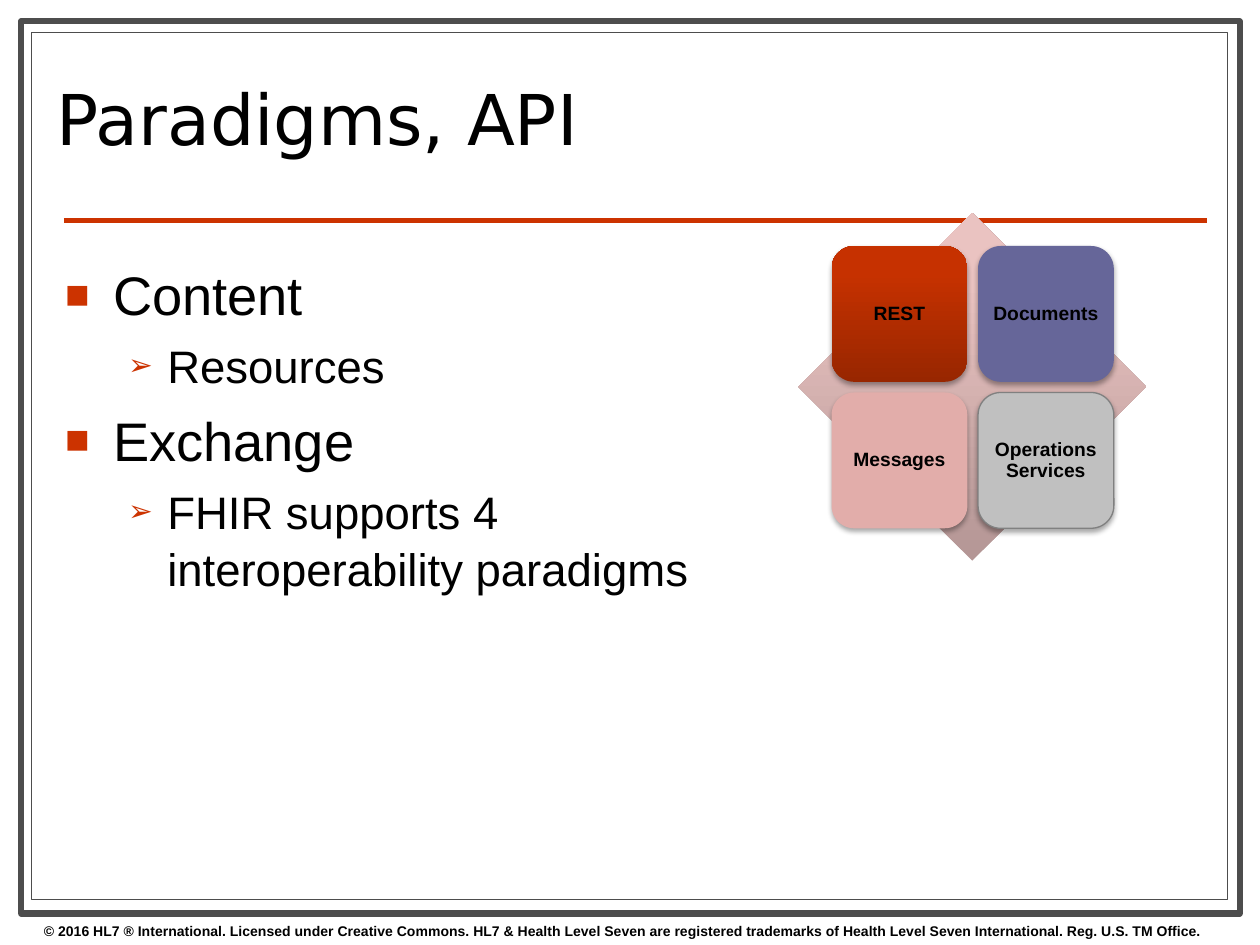
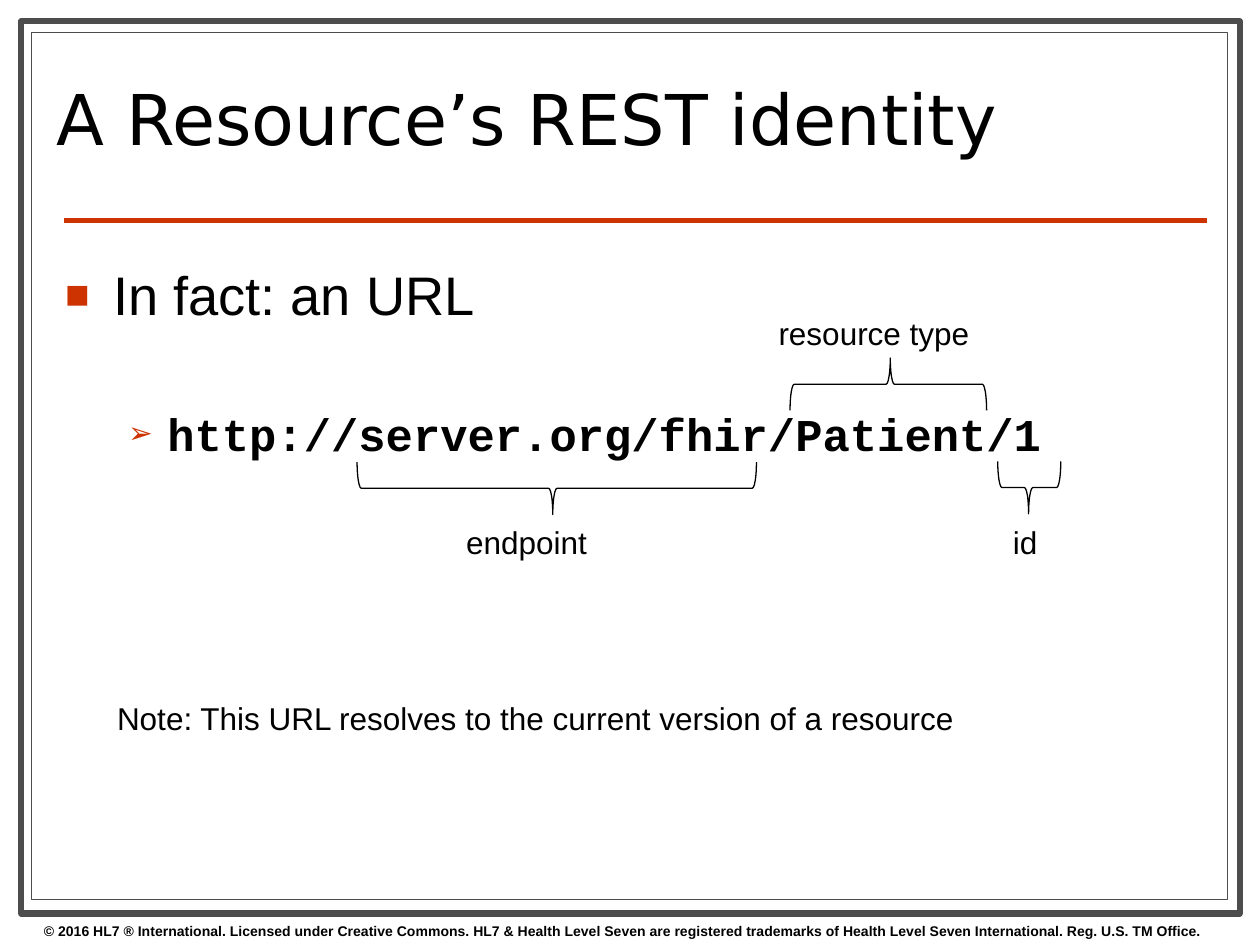
from lxml.etree import SubElement as Sub
from pptx import Presentation
from pptx.dml.color import RGBColor
from pptx.enum.shapes import MSO_CONNECTOR as Link, MSO_SHAPE as Kind
from pptx.enum.text import MSO_ANCHOR as Anchor, PP_ALIGN as Align
from pptx.oxml.ns import qn
from pptx.util import Pt

BLACK = RGBColor(0x00, 0x00, 0x00)
WHITE = RGBColor(0xFF, 0xFF, 0xFF)
GRAY = RGBColor(0x4D, 0x4D, 0x4D)
RED = RGBColor(0xCC, 0x33, 0x00)
BRICK = RGBColor(0x98, 0x26, 0x00)
RUST = RGBColor(0xC6, 0x31, 0x00)
MAUVE = RGBColor(0xB4, 0x96, 0x95)
BLUSH = RGBColor(0xEA, 0xC3, 0xC1)
VIOLET = RGBColor(0x66, 0x66, 0x99)
PINK = RGBColor(0xE2, 0xAD, 0xAA)
SILVER = RGBColor(0xC0, 0xC0, 0xC0)
EDGE = RGBColor(0x80, 0x80, 0x80)

SANS, HEAD, MONO = "Arial", "DejaVu Sans", "Courier New"
FOOTER = (
    "© 2016 HL7 ® International. Licensed under Creative Commons. "
    "HL7 & Health Level Seven are registered trademarks of "
    "Health Level Seven International. Reg. U.S. TM Office."
)
FRAMES = [((12.2, 12.2, 696.2, 509.8), 3.5), ((18, 18.7, 683.3, 495.4), 0.75)]
LEVELS = [("■", 75, 31, 27.4, 27.4), ("➢", 65, 26, 58.3, 22.3)]

API = {
    "title": "Paradigms, API",
    "wide": (516, 420),
    "points": [
        (0, "Content"),
        (1, "Resources"),
        (0, "Exchange"),
        (1, "FHIR supports 4 interoperability paradigms"),
    ],
}
TILES = [
    ("REST", (BRICK, RUST), None),
    ("Documents", VIOLET, None),
    ("Messages", PINK, None),
    ("Operations Services", SILVER, EDGE),
]
REST = {
    "title": "A Resource’s REST identity",
    "wide": (577, 660),
    "points": [(0, "In fact: an URL"), (1, "http://server.org/fhir/Patient/1", MONO, 44)],
}
BRACES = [(318.2, 279, 228.2, 270), (507.6, 219.6, 112.3, 90), (588.2, 278.6, 36, 270)]
LABELS = [
    ("endpoint", 259.2, 295.2, 84),
    ("resource type", 437.8, 175.7, 125),
    ("id", 571.7, 295.2, 29),
    ("Note: This URL resolves to the current version of a resource", 59.8, 396, 498),
]


def style(para, size, bold=False, name=SANS):
    font = para.font
    font.name, font.size, font.bold = name, Pt(size), bold
    font.color.rgb = BLACK


def box(slide, x, y, w, h, wrap=True):
    frame = slide.shapes.add_textbox(Pt(x), Pt(y), Pt(w), Pt(h)).text_frame
    frame.word_wrap = wrap
    return frame


def write(slide, text, x, y, w, h, size, bold=False):
    para = box(slide, x, y, w, h, False).paragraphs[0]
    para.text = text
    style(para, size, bold)


def draw(slide, kind, x, y, w, h, fill=None, line=None, width=0.75):
    shape = slide.shapes.add_shape(kind, Pt(x), Pt(y), Pt(w), Pt(h))
    shape.shadow.inherit = False
    if fill is None:
        shape.fill.background()
    elif isinstance(fill, RGBColor):
        shape.fill.solid()
        shape.fill.fore_color.rgb = fill
    else:
        shape.fill.gradient()
        shape.fill.gradient_angle = 90
        for stop, color, place in zip(shape.fill.gradient_stops, fill, (0, 0.8)):
            stop.color.rgb = color
            stop.position = place
    if line is None:
        shape.line.fill.background()
    else:
        shape.line.color.rgb = line
        shape.line.width = Pt(width)
    return shape


def bullet(para, level):
    mark, scale, _, left, hang = LEVELS[level]
    props = para._p.get_or_add_pPr()
    props.set("marL", str(Pt(left)))
    props.set("indent", str(-Pt(hang)))
    Sub(Sub(props, qn("a:buClr")), qn("a:srgbClr"), val=str(RED))
    Sub(props, qn("a:buSzPct"), val=str(scale * 1000))
    Sub(props, qn("a:buFont"), typeface=SANS)
    Sub(props, qn("a:buChar"), char=mark)


def start(deck, data):
    slide = deck.slides.add_slide(deck.slide_layouts[5])
    for area, width in FRAMES:
        draw(slide, Kind.RECTANGLE, *area, WHITE, GRAY, width)
    rule = slide.shapes.add_connector(Link.STRAIGHT, Pt(36.5), Pt(126), Pt(690), Pt(126))
    rule.line.color.rgb = RED
    rule.line.width = Pt(3)
    Sub(rule._element.spPr, qn("a:effectLst"))
    write(slide, FOOTER, 18, 523.4, 720, 16.6, 8, True)

    title = slide.shapes.title
    title.element.getparent().append(title.element)
    head, body = data["wide"]
    title.left, title.top, title.width, title.height = Pt(25.2), Pt(26), Pt(head), Pt(90.7)
    title.text_frame.vertical_anchor = Anchor.MIDDLE
    para = title.text_frame.paragraphs[0]
    para.text = data["title"]
    para.alignment = Align.LEFT
    para.line_spacing = 0.8
    style(para, 40, name=HEAD)

    frame = box(slide, 30.2, 144, body, 352.8)
    for i, (level, text, *rest) in enumerate(data["points"]):
        para = frame.add_paragraph() if i else frame.paragraphs[0]
        para.text = text
        para.level = level
        size = LEVELS[level][2]
        name, gap = rest or (SANS, size * 0.2)
        para.line_spacing = 1.05
        if i:
            para.space_before = Pt(gap)
        bullet(para, level)
        style(para, size, name == MONO, name)
    return slide


def cast(shape):
    effects = shape._element.spPr.find(qn("a:effectLst"))
    shade = Sub(effects, qn("a:outerShdw"), blurRad=str(Pt(3.1)), dist=str(Pt(1.8)),
                dir="5400000", rotWithShape="0")
    Sub(Sub(shade, qn("a:srgbClr"), val=str(BLACK)), qn("a:alpha"), val="35000")


def tile(slide, i, text, fill, line):
    row, col = divmod(i, 2)
    shape = draw(slide, Kind.ROUNDED_RECTANGLE, 475.2 + col * 83.7, 140.6 + row * 83.7,
                 77.6, 77.6, fill, line)
    cast(shape)
    frame = shape.text_frame
    frame.word_wrap = True
    frame.vertical_anchor = Anchor.MIDDLE
    frame.margin_left = frame.margin_right = Pt(3.6)
    frame.margin_top = frame.margin_bottom = Pt(3.6)
    para = frame.paragraphs[0]
    para.text = text
    para.alignment = Align.CENTER
    para.line_spacing = 0.9
    style(para, 11, True)


def brace(slide, x, y, span, turn):
    shape = draw(slide, Kind.LEFT_BRACE, x - 15, y - span / 2, 30, span, None, BLACK)
    shape.adjustments[0] = 0.08
    shape.adjustments[1] = 0.49
    shape.rotation = turn


def main():
    deck = Presentation()
    deck.slide_width, deck.slide_height = Pt(720), Pt(540)

    slide = start(deck, API)
    draw(slide, Kind.DIAMOND, 456.2, 121.7, 198.7, 198.7, (MAUVE, BLUSH))
    for i, item in enumerate(TILES):
        tile(slide, i, *item)

    slide = start(deck, REST)
    for item in BRACES:
        brace(slide, *item)
    for text, x, y, wide in LABELS:
        write(slide, text, x, y, wide, 28.8, 18)

    deck.save("out.pptx")


if __name__ == "__main__":
    main()
